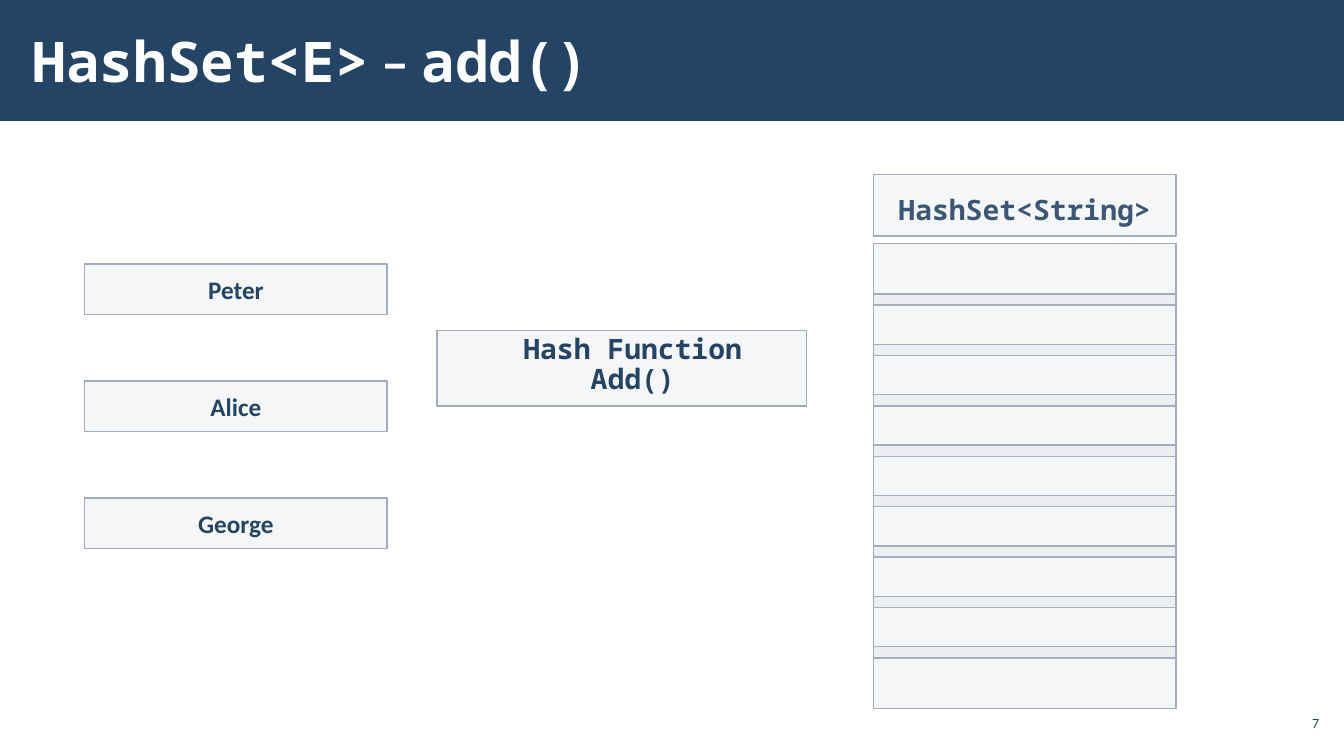
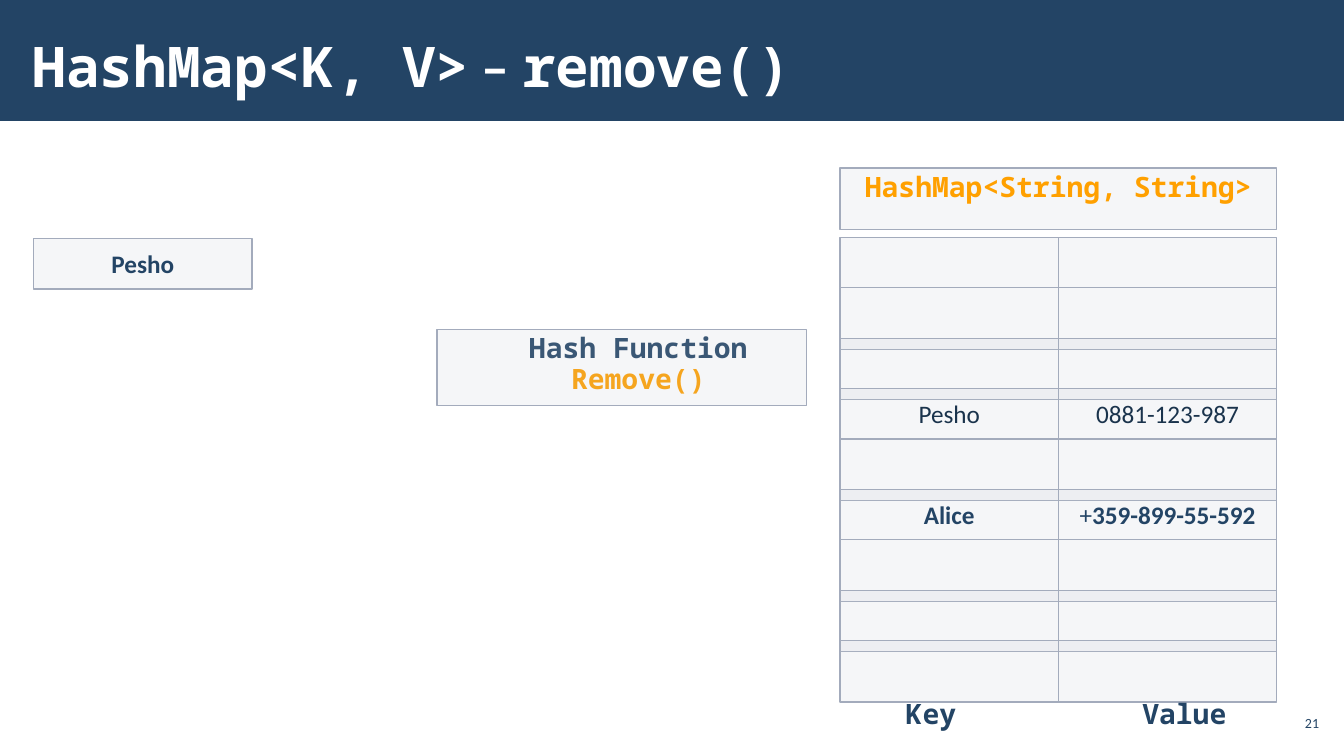
from lxml import etree
from pptx import Presentation
from pptx.dml.color import RGBColor
from pptx.enum.shapes import MSO_SHAPE
from pptx.enum.text import MSO_ANCHOR, PP_ALIGN
from pptx.oxml.ns import qn
from pptx.util import Pt

RECTANGLE = MSO_SHAPE.RECTANGLE
LEFT, CENTER, RIGHT = PP_ALIGN.LEFT, PP_ALIGN.CENTER, PP_ALIGN.RIGHT
TOP, MIDDLE = MSO_ANCHOR.TOP, MSO_ANCHOR.MIDDLE

COLORS = {
    "navy": "234465",
    "dark": "1A334C",
    "orange": "FFA000",
    "white": "FFFFFF",
    "cell": "C2C7D2",
    "border": "A3ABBC",
}
CELL_ALPHA = 15000  # thousandths of a percent

# Run styles: font, size, colour, bold
BODY, MONO = "Calibri", "Noto Sans Mono"
STYLES = {
    "title code": (MONO, 40, "white", True),
    "title dash": (BODY, 40, "white", True),
    "number": (BODY, 10, "navy", False),
    "code": (MONO, 20, "navy", True),
    "code accent": (MONO, 20, "orange", True),
    "name": (BODY, 18, "navy", True),
    "sign": (BODY, 18, "navy", False),
    "plain": (BODY, 18, "dark", False),
}


def write(box, lines, align=CENTER, anchor=MIDDLE, spacing=1.0, margin=7.2):
    """Fill a box with lines, each a list of (text, style) spans."""
    frame = box.text_frame
    frame.word_wrap = True
    frame.vertical_anchor = anchor
    frame.margin_left = frame.margin_right = Pt(margin)
    frame.margin_top = frame.margin_bottom = Pt(3.6)
    for index, spans in enumerate(lines):
        para = frame.add_paragraph() if index else frame.paragraphs[0]
        para.alignment = align
        para.line_spacing = spacing
        for text, style in spans:
            span = para.add_run()
            span.text = text
            font, size, color, bold = STYLES[style]
            span.font.name = font
            span.font.size = Pt(size)
            span.font.bold = bold
            span.font.color.rgb = RGBColor.from_string(COLORS[color])


def add_cell(page, left, top, width, height, spans=()):
    """Draw a translucent bordered cell, with one line of text if given."""
    cell = page.shapes.add_shape(RECTANGLE, Pt(left), Pt(top), Pt(width), Pt(height))
    cell.shadow.inherit = False
    cell.fill.solid()
    cell.fill.fore_color.rgb = RGBColor.from_string(COLORS["cell"])
    tint = cell.fill._xPr.find(qn("a:solidFill"))[0]
    etree.SubElement(tint, qn("a:alpha")).set("val", str(CELL_ALPHA))
    cell.line.color.rgb = RGBColor.from_string(COLORS["border"])
    cell.line.width = Pt(1)
    if spans:
        write(cell, [spans])


deck = Presentation()
deck.slide_width, deck.slide_height = Pt(960), Pt(540)
blank = deck.slide_layouts[6]

# Shared frame: title band, title and page number
pages = []
for structure, method, title_top, title_height, number in [
    ("HashSet<E>", "add()", 8, 70, "7"),
    ("HashMap<K, V>", "remove()", 3, 87, "21"),
]:
    page = deck.slides.add_slide(blank)
    pages.append(page)
    band = page.shapes.add_shape(RECTANGLE, 0, 0, deck.slide_width, Pt(86.4))
    band.shadow.inherit = False
    band.fill.solid()
    band.fill.fore_color.rgb = RGBColor.from_string(COLORS["navy"])
    band.line.fill.background()
    title = page.shapes.add_textbox(Pt(15), Pt(title_top), Pt(750), Pt(title_height))
    title_spans = [(structure, "title code"), (" – ", "title dash"), (method, "title code")]
    write(title, [title_spans], align=LEFT, margin=8.5)
    page_number = page.shapes.add_textbox(Pt(911), Pt(504), Pt(34), Pt(24.5))
    write(page_number, [[(number, "number")]], align=RIGHT, margin=2.8)

set_page, map_page = pages
ROW_PITCH, ROW_HEIGHT, TALL_ROW, ROW_COUNT = 36, 36, 44, 9

# HashSet: header and buckets
set_header = set_page.shapes.add_textbox(Pt(624), Pt(137), Pt(216), Pt(31.5))
write(set_header, [[("HashSet<String>", "code")]], anchor=TOP, spacing=0.9)
add_cell(set_page, 624, 124.5, 216, TALL_ROW)
for row in range(ROW_COUNT):
    add_cell(set_page, 624, 174 + row * ROW_PITCH, 216, TALL_ROW)

# HashSet: names to add
for index, name in enumerate(["Peter", "Alice", "George"]):
    add_cell(set_page, 60.5, 188.5 + index * 83.6, 216, ROW_HEIGHT, [(name, "name")])

# HashSet: hash function
add_cell(set_page, 312, 236, 264, 54)
add_function = set_page.shapes.add_textbox(Pt(344), Pt(236), Pt(216), Pt(55.5))
write(add_function, [[("Hash Function", "code")], [("Add()", "code")]],
      anchor=TOP, spacing=0.9)

# HashMap: header and key-value rows
entries = {
    3: ([("Pesho", "plain")], [("0881-123-987", "plain")]),
    5: ([("Alice", "name")], [("+", "sign"), ("359-899-55-592", "name")]),
}
add_cell(map_page, 600, 120, 312, TALL_ROW)
for row in range(ROW_COUNT):
    height = ROW_HEIGHT if row == 0 or row in entries else TALL_ROW
    for column, spans in enumerate(entries.get(row, ((), ()))):
        add_cell(map_page, 600 + column * 156, 169.6 + row * ROW_PITCH, 156, height, spans)
map_header = map_page.shapes.add_textbox(Pt(600), Pt(120), Pt(312), Pt(31.5))
write(map_header, [[("HashMap<String, String>", "code accent")]], anchor=TOP, spacing=0.9)

# HashMap: column captions
for caption, left in [("Key", 587), ("Value", 768)]:
    label = map_page.shapes.add_textbox(Pt(left), Pt(497), Pt(156), Pt(31.5))
    write(label, [[(caption, "code")]], anchor=TOP, spacing=0.9)

# HashMap: key to remove and hash function
add_cell(map_page, 24, 170.5, 156, ROW_HEIGHT, [("Pesho", "name")])
remove_function = map_page.shapes.add_textbox(Pt(348), Pt(235.5), Pt(216), Pt(55.5))
write(remove_function, [[("Hash Function", "code")], [("Remove()", "code accent")]],
      anchor=TOP, spacing=0.9)
add_cell(map_page, 312, 235.5, 264, 54)

deck.save("out.pptx")
